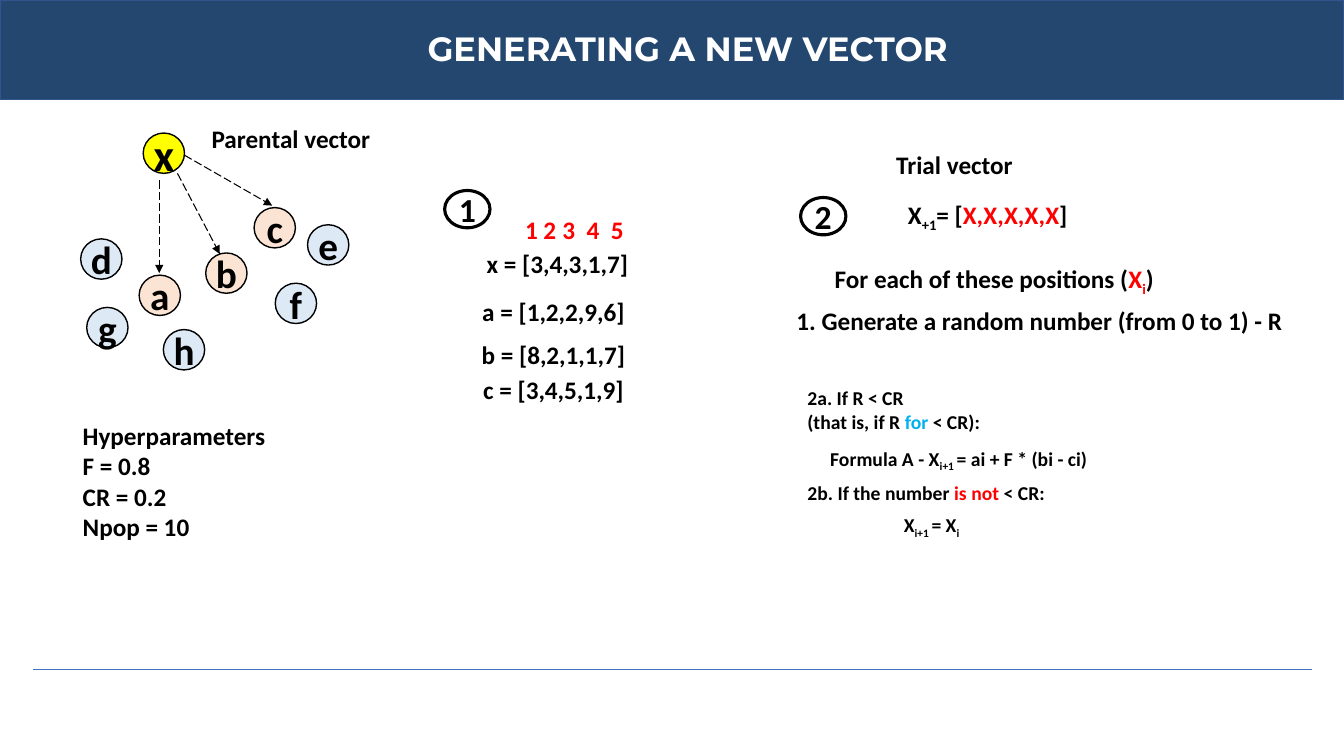
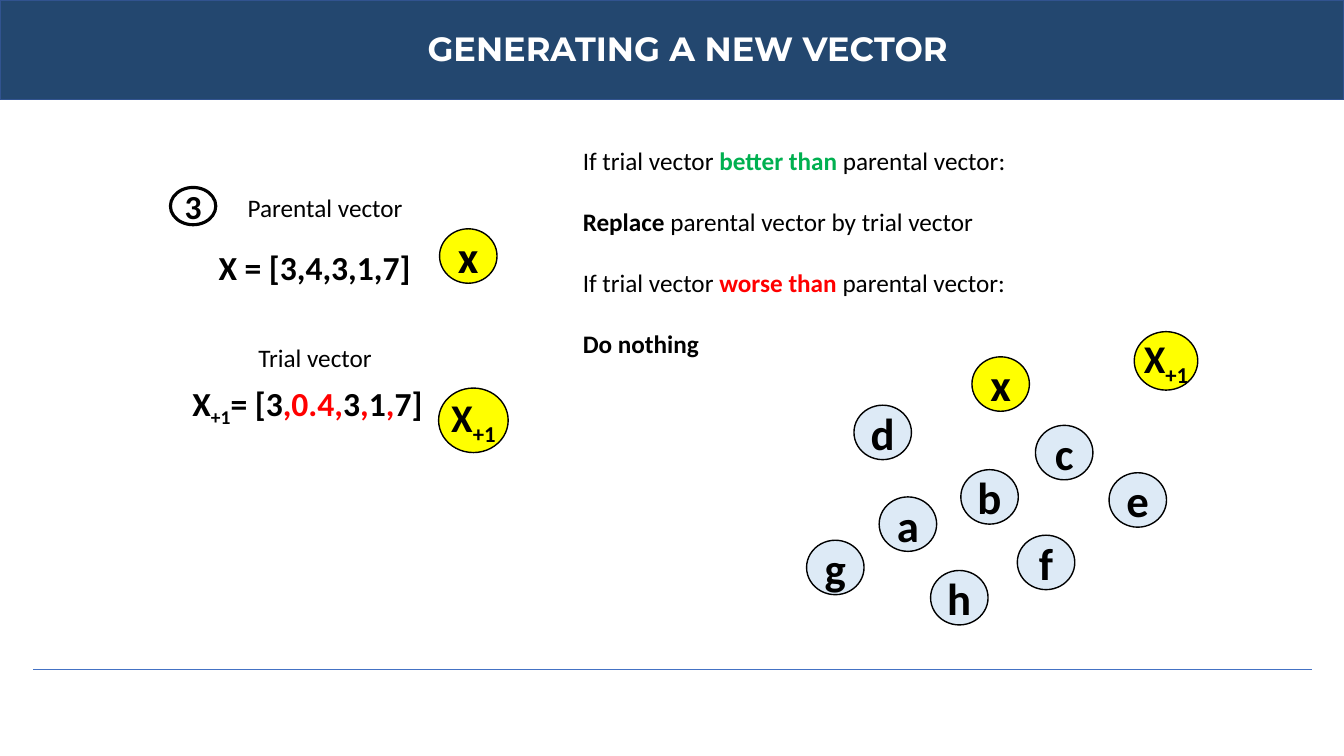
from dataclasses import dataclass
from typing import NamedTuple

from lxml import etree
from pptx import Presentation
from pptx import util as u
from pptx.dml.color import RGBColor
from pptx.enum import dml, shapes, text
from pptx.oxml import ns

PX = 9144  # EMU in one px, 100 px to the inch


@dataclass(frozen=True)
class Theme:
    navy: str = "23476F"
    navy_edge: str = "31538F"
    rule: str = "4472C4"
    ink: str = "000000"
    white: str = "FFFFFF"
    red: str = "FF0000"
    green: str = "00B050"
    sky: str = "00B0F0"
    parent: str = "FFFF00"
    chosen: str = "FBE4D4"
    other: str = "DDEAF6"
    title_font: str = "Montserrat"
    body_font: str = "Calibri"
    small: int = 14
    body: int = 18
    large: int = 24
    node: int = 28
    big_node: int = 32


T = Theme()
LEFT, CENTER = text.PP_ALIGN.LEFT, text.PP_ALIGN.CENTER


class Box(NamedTuple):
    x: int
    y: int
    w: int
    h: int

    def at(self, dx, dy, w, h):
        """A box placed relative to this one's top left corner."""
        return Box(self.x + dx, self.y + dy, w, h)

    def emu(self):
        return [u.Emu(v * PX) for v in self]


class Run(NamedTuple):
    text: str
    color: str = ""
    bold: bool | None = None
    sub: bool = False


def rgb(color):
    return RGBColor.from_string(color)


def sub(txt, color=""):
    return Run(txt, color, sub=True)


def write(tf, paragraphs, size=T.body, bold=True, align=LEFT, color=T.ink,
          font=T.body_font, gaps=()):
    """Fill tf; each paragraph is a string or a list of strings and Runs.

    gaps maps a paragraph's index to the points left above it.
    """
    gaps = dict(gaps)
    for i, runs in enumerate(paragraphs):
        p = tf.paragraphs[0] if i == 0 else tf.add_paragraph()
        p.alignment = align
        p.space_before = u.Pt(gaps.get(i, 0))
        f = p.font
        f.name, f.size, f.bold = font, u.Pt(size), bold
        f.color.rgb = rgb(color)
        for item in [runs] if isinstance(runs, str) else runs:
            run = Run(item) if isinstance(item, str) else item
            r = p.add_run()
            r.text = run.text
            if run.color:
                r.font.color.rgb = rgb(run.color)
            if run.bold is not None:
                r.font.bold = run.bold
            if run.sub:
                r._r.get_or_add_rPr().set("baseline", "-25000")


def label(s, box, *paragraphs, **style):
    tf = s.shapes.add_textbox(*box.emu()).text_frame
    tf.word_wrap = True
    write(tf, paragraphs, **style)
    return tf


def place(sp, box):
    sp.left, sp.top, sp.width, sp.height = box.emu()
    sp.text_frame.auto_size = text.MSO_AUTO_SIZE.NONE


def outline(s, preset, box, fill, line, width):
    sp = s.shapes.add_shape(preset, *box.emu())
    sp.shadow.inherit = False
    if fill:
        sp.fill.solid()
        sp.fill.fore_color.rgb = rgb(fill)
    else:
        sp.fill.background()
    sp.line.color.rgb = rgb(line)
    sp.line.width = u.Pt(width)
    return sp


def node(s, box, runs, fill, size, line_width=1):
    """An ellipse with its letter in the middle."""
    sp = outline(s, shapes.MSO_SHAPE.OVAL, box, fill, T.ink, line_width)
    tf = sp.text_frame
    tf.margin_left = tf.margin_right = tf.margin_top = tf.margin_bottom = 0
    tf.word_wrap = False
    tf.vertical_anchor = text.MSO_ANCHOR.MIDDLE
    write(tf, [runs], size=size, align=CENTER)


def step(s, box, number):
    node(s, box.at(0, 0, 45, 37), number, None, T.large, 2.25)


def connect(s, start, end, color, arrow=False):
    c = s.shapes.add_connector(shapes.MSO_CONNECTOR.STRAIGHT,
                               *(u.Emu(v * PX) for v in (*start, *end)))
    c.line.color.rgb = rgb(color)
    c.line.width = u.Pt(0.75)
    if arrow:
        c.line.dash_style = dml.MSO_LINE.LONG_DASH
        ln = c.element.spPr.find(ns.qn("a:ln"))
        etree.SubElement(ln, ns.qn("a:tailEnd"), type="triangle")
    etree.SubElement(c.element.spPr, ns.qn("a:effectLst"))
    return c


def dress_layout(s):
    """Draw the band and the bottom rule, then hand them to the slide's layout."""
    band = outline(s, shapes.MSO_SHAPE.RECTANGLE, Box(0, 0, 1333, 99),
                   T.navy, T.navy_edge, 1)
    rule = connect(s, (33, 664), (1301, 664), T.rule)
    for part in (rule, band):
        s.slide_layout.shapes.element.insert(2, part.element)


def add_slide(prs, title):
    s = prs.slides.add_slide(prs.slide_layouts[1])
    place(s.shapes.title, Box(303, 23, 758, 50))
    write(s.shapes.title.text_frame, [title], size=T.large, align=CENTER,
          color=T.white, font=T.title_font)
    return s


def plain_body(s, box, *paragraphs, **style):
    """Put unbulleted lines in the body placeholder."""
    sp = s.placeholders[1]
    place(sp, box)
    write(sp.text_frame, paragraphs, **style)
    for p in sp.text_frame.paragraphs:
        pPr = p._p.get_or_add_pPr()
        pPr.set("marL", "0")
        pPr.set("indent", "0")
        bullet = etree.Element(ns.qn("a:buNone"))
        pPr.find(ns.qn("a:defRPr")).addprevious(bullet)


def population(s, box):
    """The parent, its three chosen vectors and the rest."""
    places = {"x": (62, 0, T.parent), "c": (172, 74, T.chosen),
              "e": (225, 91, T.other), "f": (193, 149, T.other),
              "b": (124, 119, T.chosen), "a": (58, 141, T.chosen),
              "d": (0, 105, T.other), "h": (82, 195, T.other),
              "g": (6, 173, T.other)}
    for name, (dx, dy, fill) in places.items():
        size = T.big_node if name == "x" else T.node
        node(s, box.at(dx, dy, 41, 40), name, fill, size)
    for x1, y1, x2, y2 in ((78, 47, 78, 139), (96, 40, 138, 120),
                           (103, 22, 190, 72)):
        connect(s, (box.x + x1, box.y + y1), (box.x + x2, box.y + y2),
                T.ink, arrow=True)
    label(s, box.at(120, -15, 202, 40), "Parental vector")


def sample_vectors(s, box):
    step(s, box, "1")
    tf = label(s, box.at(70, 19, 119, 40), "1\t2\t3\t4\t5", color=T.red)
    pPr = tf.paragraphs[0]._p.get_or_add_pPr()
    tabs = etree.Element(ns.qn("a:tabLst"))
    pPr.find(ns.qn("a:defRPr")).addprevious(tabs)
    for pos in (18, 37, 61, 85):
        etree.SubElement(tabs, ns.qn("a:tab"), pos=str(pos * PX), algn="l")
    for dx, dy, vector in ((12, 52, "x = [3,4,3,1,7]"),
                           (8, 100, "a = [1,2,2,9,6]"),
                           (8, 143, "b = [8,2,1,1,7]"),
                           (8, 177, "c = [3,4,5,1,9]")):
        label(s, box.at(dx, dy, 200, 40), vector, align=CENTER)


def trial_steps(s, box):
    step(s, box.at(14, 53, 45, 37), "2")
    label(s, box.at(99, 0, 202, 40), "Trial vector")
    label(s, box.at(99, 50, 201, 40),
          ["X", sub("+1"), "= [", Run("X,X,X,X,X", T.red), "]"], align=CENTER)
    label(s, box.at(38, 113, 403, 40),
          ["For each of these positions (", Run("X", T.red), sub("i", T.red), ")"])
    label(s, box.at(0, 155, 521, 40),
          "1. Generate a random number (from 0 to 1) - R")
    label(s, box.at(11, 235, 347, 199), "2a. If R < CR",
          ["(that is, if R ", Run("for", T.sky), " < CR):"],
          ["2b. If the number ", Run("is not ", T.red), "< CR:"],
          size=T.small, gaps={2: 34})
    label(s, box.at(-17, 295, 376, 34),
          ["Formula A - X", sub("i+1 "), "= ai + F * (bi - ci)"],
          size=T.small, align=CENTER)
    label(s, box.at(57, 361, 174, 34), ["X", sub("i+1 "), "= X", sub("i")],
          size=T.small, align=CENTER)


def parent_and_trial(s, box):
    step(s, box, "3")
    label(s, box.at(57, 0, 193, 40), "Parental vector", bold=False, align=CENTER)
    label(s, box.at(16, 54, 254, 50), "X = [3,4,3,1,7]", size=T.large, align=CENTER)
    node(s, box.at(267, 41, 57, 54), "x", T.parent, T.big_node)
    label(s, box.at(57, 149, 173, 40), "Trial vector", bold=False, align=CENTER)
    label(s, box.at(4, 189, 264, 50),
          ["X", sub("+1"), "= [3", Run(",0.4,", T.red), "3", Run(",", T.red),
           "1", Run(",", T.red), "7]"], size=T.large, align=CENTER)
    node(s, box.at(266, 199, 69, 64), ["X", sub("+1")], T.parent, T.node)


def new_population(s, box):
    places = {"x": (164, 25), "c": (227, 93), "e": (300, 140), "f": (209, 202),
              "b": (153, 137), "a": (72, 164), "d": (47, 73), "h": (123, 237),
              "g": (0, 207)}
    for name, (dx, dy) in places.items():
        fill = T.parent if name == "x" else T.other
        node(s, box.at(dx, dy, 57, 54), name, fill, T.big_node)
    node(s, box.at(325, 0, 63, 58), ["X", sub("+1")], T.parent, T.node)


def outcome_rules(s, box):
    def case(verdict, color):
        return ["If trial vector ", Run(verdict, color, True), "parental vector:"]

    plain_body(s, box, case("better than ", T.green),
               [Run("Replace ", bold=True), "parental vector by trial vector"],
               case("worse than ", T.red), [Run("Do nothing", bold=True)],
               bold=False, gaps={1: 22, 2: 22, 3: 22})


def main():
    prs = Presentation()
    prs.slide_width, prs.slide_height = u.Emu(1333 * PX), u.Emu(750 * PX)
    title = "GENERATING A NEW VECTOR"

    s = add_slide(prs, title)
    dress_layout(s)
    population(s, Box(80, 132, 266, 235))
    sample_vectors(s, Box(441, 189, 206, 217))
    trial_steps(s, Box(780, 143, 521, 434))
    plain_body(s, Box(72, 412, 230, 131), "Hyperparameters", "F = 0.8",
               "CR = 0.2", "Npop = 10")

    s = add_slide(prs, title)
    parent_and_trial(s, Box(169, 186, 335, 263))
    outcome_rules(s, Box(568, 139, 451, 252))
    new_population(s, Box(800, 329, 388, 291))

    prs.save("out.pptx")


if __name__ == "__main__":
    main()
